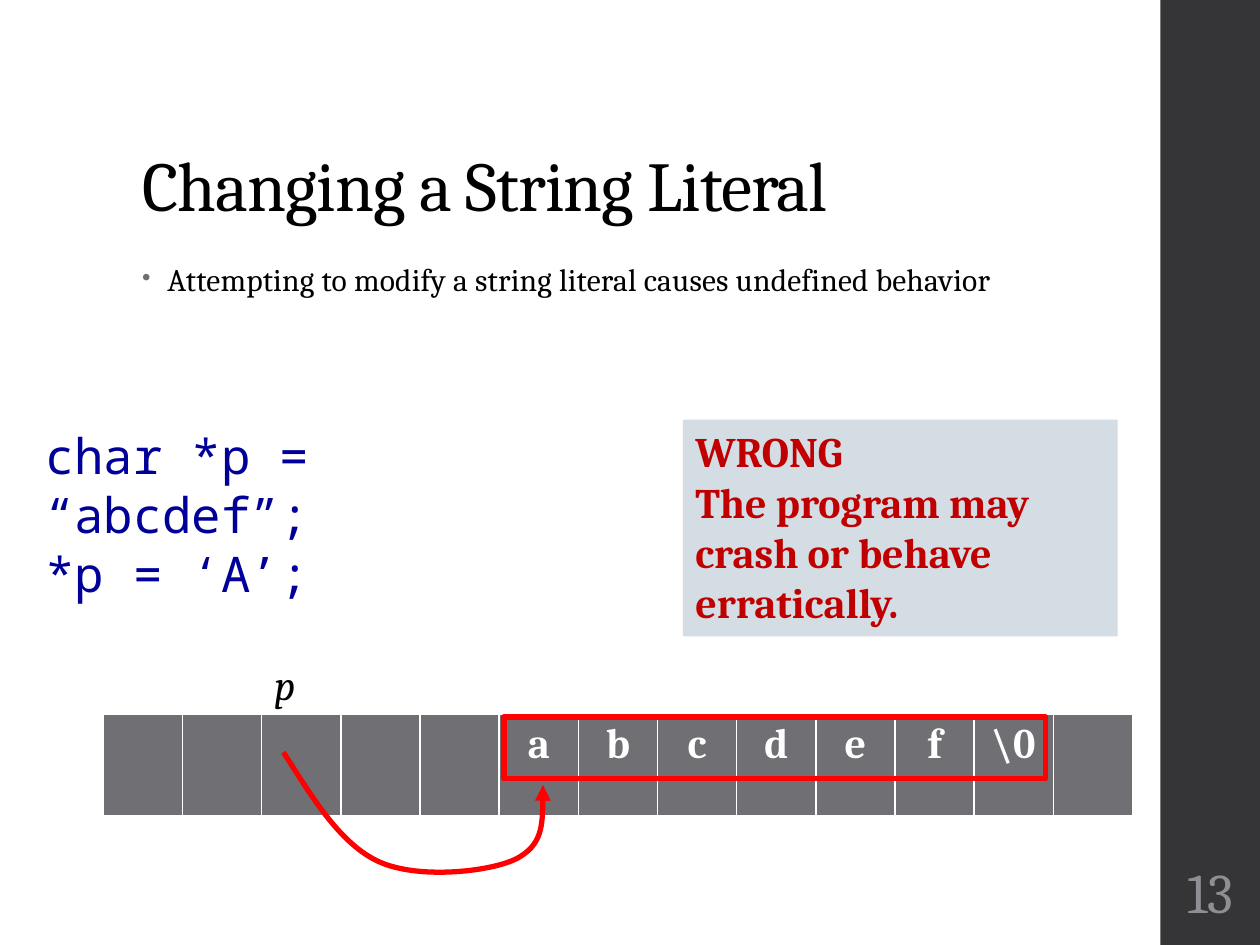
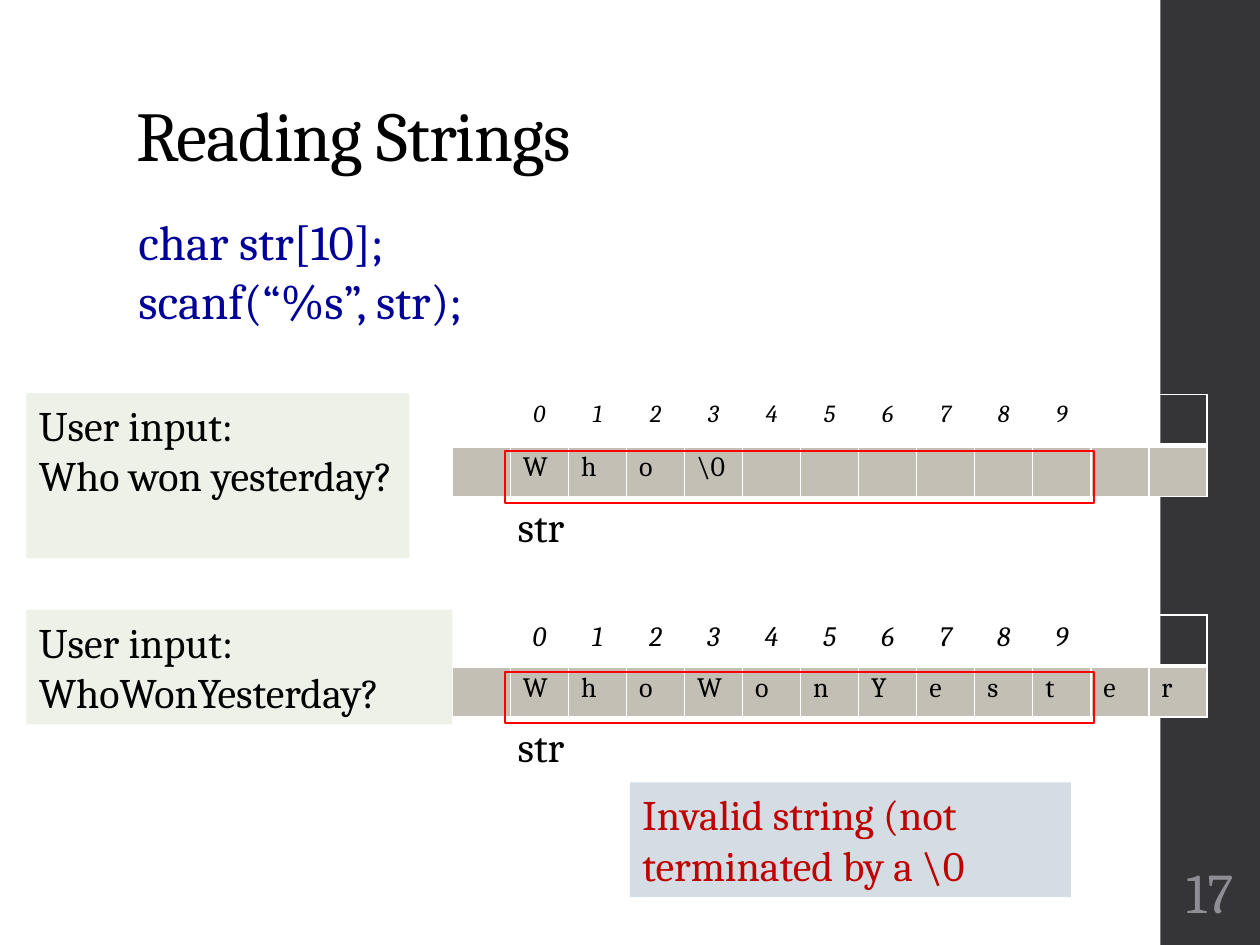
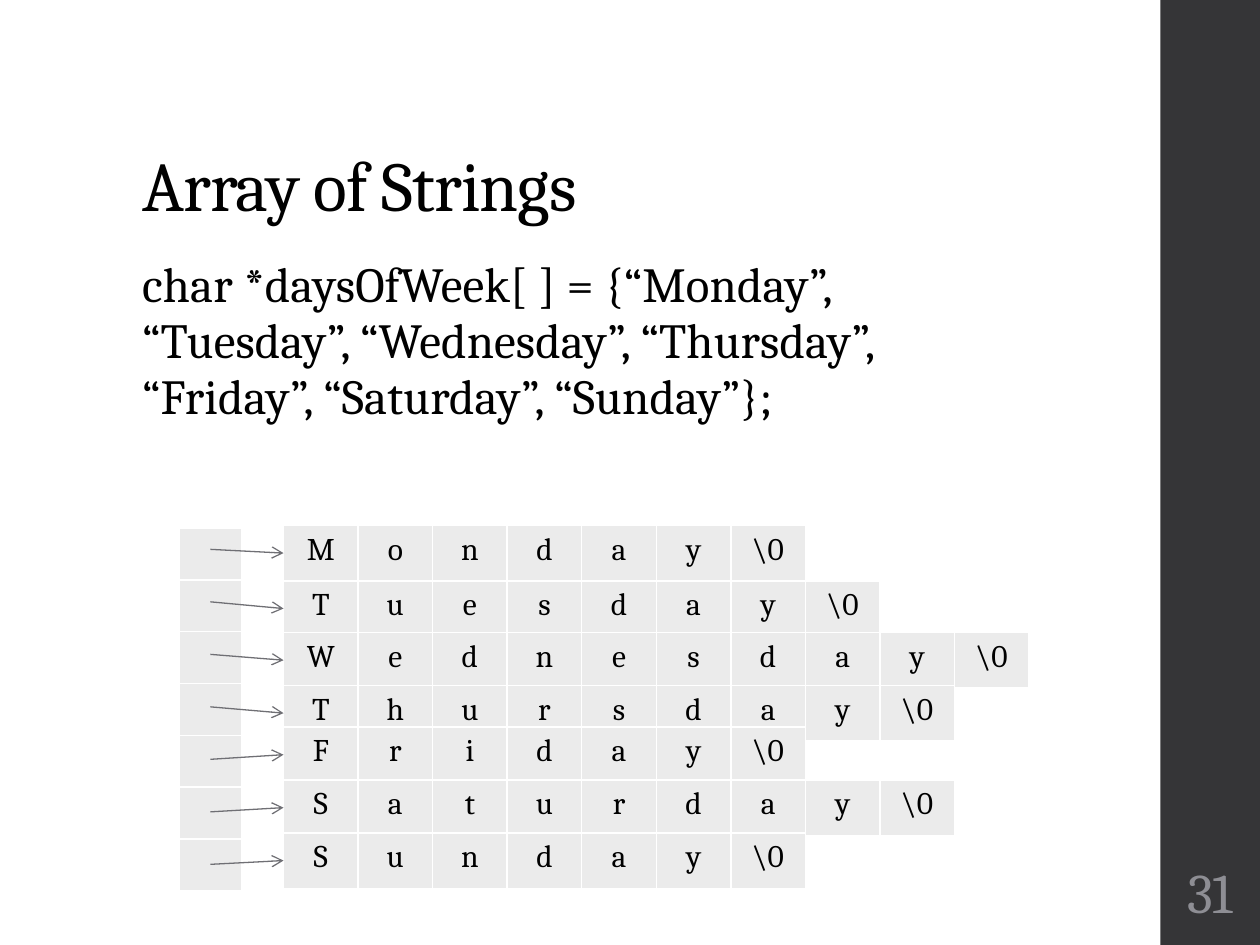
from lxml import etree
from pptx import Presentation
from pptx import util as u
from pptx.dml.color import RGBColor
from pptx.enum import shapes, text
from pptx.oxml import ns

# Slide size and a grid of 100 columns by 75 rows
W, H = u.Inches(10), u.Inches(7.5)
COL, ROW = W / 100, H / 75

FONT, MONO = "Cambria", "Noto Sans Mono"
BLACK, WHITE, RED = "000000", "FFFFFF", "FF0000"
BAND, NUMBER, GREY = "353537", "8E8E94", "6F6F74"
CODE, WARNING = "000099", "C00000"
NOTE_FILL, INPUT_FILL = "D3DDE3", "EDF1E7"
MEMORY_FILL, DAY_FILL = "C3BFB5", "EBEBEB"
LEFT, CENTER = text.PP_ALIGN.LEFT, text.PP_ALIGN.CENTER
NUL = "\\0"


def rgb(value):
    return RGBColor.from_string(value)


def place(x, y, w, h):
    return [u.Emu(round(v)) for v in (x * COL, y * ROW, w * COL, h * ROW)]


def child(parent, tag, **attrs):
    return etree.SubElement(parent, ns.qn(tag), attrs)


# Text
def style(p, size, color=BLACK, font=FONT, bold=False, italic=False,
          align=LEFT, spacing=None, tracking=0):
    p.alignment = align
    if spacing:
        p.line_spacing = spacing
    f = p.font
    f.name, f.size, f.bold, f.italic = font, u.Pt(size), bold, italic
    f.color.rgb = rgb(color)
    if tracking:
        p._p.pPr.find(ns.qn("a:defRPr")).set("spc", str(tracking))


def add_text(s, at, lines, size, fill=None, anchor=text.MSO_ANCHOR.TOP, **look):
    sp = s.shapes.add_textbox(*place(*at))
    if fill:
        sp.fill.solid()
        sp.fill.fore_color.rgb = rgb(fill)
    tf = sp.text_frame
    tf.word_wrap, tf.vertical_anchor = True, anchor
    tf.text = "\n".join(lines)
    for p in tf.paragraphs:
        style(p, size, **look)
    return tf


def add_bullet(p):
    pPr = p._p.get_or_add_pPr()
    indent = u.Inches(0.2)
    pPr.set("marL", str(indent))
    pPr.set("indent", str(-indent))
    child(child(pPr, "a:buClr"), "a:srgbClr", val=GREY)
    child(pPr, "a:buSzPct", val="80000")
    child(pPr, "a:buChar", char="•")


# Outlines and arrows
def set_line(line, color, width, head=None):
    line.color.rgb = rgb(color)
    line.width = u.Pt(width)
    if head:
        child(line._get_or_add_ln(), "a:tailEnd", type=head)


def add_frame(s, at, width):
    sp = s.shapes.add_shape(shapes.MSO_SHAPE.RECTANGLE, *place(*at))
    sp.shadow.inherit = False
    sp.fill.background()
    set_line(sp.line, RED, width)


def add_arrow(s, x1, y1, x2, y2):
    c = s.shapes.add_connector(shapes.MSO_CONNECTOR.STRAIGHT,
                               *place(x1, y1, x2, y2))
    set_line(c.line, GREY, 0.75, "arrow")
    child(c._element.spPr, "a:effectLst")


def add_curve(s, points):
    """Draw Bezier curves: a start, then three points for each curve."""
    points = [(round(x * COL), round(y * ROW)) for x, y in points]
    builder = s.shapes.build_freeform(*points[0])
    builder.add_line_segments(points[1:], close=False)
    sp = builder.convert_to_shape()
    outline = sp._element.spPr.find(".//" + ns.qn("a:path"))
    segments = outline.findall(ns.qn("a:lnTo"))
    for i in range(0, len(segments), 3):
        curve = child(outline, "a:cubicBezTo")
        for segment in segments[i:i + 3]:
            curve.append(segment[0])
            outline.remove(segment)
    sp.shadow.inherit = False
    sp.fill.background()
    set_line(sp.line, RED, 3, "triangle")


# Tables
def set_borders(cell, bottom):
    tcPr = cell._tc.get_or_add_tcPr()
    for side, width in (("L", 1), ("R", 1), ("T", 1), ("B", bottom)):
        ln = child(tcPr, "a:ln" + side, w=str(u.Pt(width)))
        child(child(ln, "a:solidFill"), "a:srgbClr", val=WHITE)


def add_cells(s, at, rows):
    """Each row is (values, fill, bottom border, text look)."""
    frame = s.shapes.add_table(len(rows), len(rows[0][0]), *place(*at))
    table = frame.table
    table.first_row = table.horz_banding = False
    for i, (values, fill, bottom, look) in enumerate(rows):
        for j, value in enumerate(values):
            cell = table.cell(i, j)
            set_borders(cell, bottom)
            if fill:
                cell.fill.solid()
                cell.fill.fore_color.rgb = rgb(fill)
            else:
                cell.fill.background()
            cell.text = value
            style(cell.text_frame.paragraphs[0], **look)


# Shared slide frame: side band, title and number
def add_slide(prs, title, number, x=10.3, y=4):
    s = prs.slides.add_slide(prs.slide_layouts[5])
    band = s.shapes.add_shape(shapes.MSO_SHAPE.RECTANGLE, *place(92.1, 0, 7.9, 75))
    band.shadow.inherit = False
    band.fill.solid()
    band.fill.fore_color.rgb = rgb(BAND)
    band.line.fill.background()

    sp = s.shapes.title
    sp.left, sp.top, sp.width, sp.height = place(x, y, 79.5, 14.5)
    tf = sp.text_frame
    tf.text = title
    tf.vertical_anchor = text.MSO_ANCHOR.BOTTOM
    tf.auto_size = text.MSO_AUTO_SIZE.NONE
    style(tf.paragraphs[0], 40, spacing=0.9, tracking=-50)

    tf = add_text(s, (92.3, 67.5, 7.5, 6.5), [number], 32, color=NUMBER,
                  align=CENTER, anchor=text.MSO_ANCHOR.MIDDLE)
    tf.margin_left = tf.margin_right = u.Inches(0.03)
    return s


def literal_slide(prs):
    s = add_slide(prs, "Changing a String Literal", "13")
    tf = add_text(s, (10.3, 20.4, 70.5, 5), [""], 18)
    p = tf.paragraphs[0]
    p.clear()
    p._p.remove(p._p.pPr)
    add_bullet(p)
    p.add_run().text = "Attempting to modify a string literal causes undefined behavior"
    style(p, 18, spacing=0.95, tracking=10)
    add_text(s, (2.6, 33.3, 45.8, 10.4), ["char *p = “abcdef”;", "*p = ‘A’;"],
             28, color=CODE, font=MONO)
    add_text(s, (54.2, 33.3, 34.5, 17.2),
             ["WRONG", "The program may crash or behave erratically."],
             24, fill=NOTE_FILL, color=WARNING, bold=True)

    # Memory with the literal, and the pointer to it
    values = [""] * 5 + list("abcdef") + [NUL, ""]
    look = dict(size=24, color=WHITE, bold=True, align=CENTER)
    add_cells(s, (8.2, 56.7, 81.7, 8.2), [(values, GREY, 3, look)])
    add_frame(s, (40, 56.9, 43, 4.9), 3)
    add_text(s, (20.8, 51.8, 5.8, 5), ["p"], 24, italic=True)
    add_curve(s, [(22.5, 59.7),
                  (24.8, 63.3), (27, 67), (30.1, 68.4),
                  (33.2, 69.8), (38.8, 69.2), (40.9, 68.2),
                  (43.1, 67.1), (43.1, 64.7), (43.1, 62.3)])


def reading_slide(prs):
    s = add_slide(prs, "Reading Strings", "17", x=9.8, y=0)
    add_text(s, (10, 16.3, 33.3, 10.4), ["char str[10];", "scanf(“%s”, str);"],
             28, color=CODE)

    # Each input: stored characters, table top, index size, and its box
    inputs = [
        ("Who won yesterday?", ["W", "h", "o", NUL], 31.3, 14, (2.1, 31.2, 30.4, 13.1)),
        ("WhoWonYesterday?", list("WhoWonYester"), 48.8, 16, (2.1, 48.4, 33.8, 9.1)),
    ]
    indexes = ["", *map(str, range(10)), "", ""]
    for typed, stored, top, index_size, box in inputs:
        memory = ["", *stored] + [""] * (12 - len(stored))
        add_cells(s, (35.9, top, 59.9, 8.1), [
            (indexes, None, 3, dict(size=index_size, italic=True, align=CENTER)),
            (memory, MEMORY_FILL, 1, dict(size=16)),
        ])
        add_text(s, box, ["User input:", typed], 24, fill=INPUT_FILL)
        add_text(s, (40.1, top + 7.9, 7.5, 5), ["str"], 24)
        add_frame(s, (40.1, top + 4.5, 46.7, 4.1), 1.1)

    add_text(s, (50, 62.1, 35, 9.1), ["Invalid string (not terminated by a \\0"],
             24, fill=NOTE_FILL, color=WARNING)


def array_slide(prs):
    s = add_slide(prs, "Array of Strings", "31")
    add_text(s, (10.3, 20, 70.5, 15),
             ["char *daysOfWeek[ ] = {“Monday”, “Tuesday”, “Wednesday”, "
              "“Thursday”, “Friday”, “Saturday”, “Sunday”};"],
             28, spacing=0.95, tracking=10)

    # Pointers, then one row of characters for each day
    days = {"Monday": 41.7, "Tuesday": 46.1, "Wednesday": 50.2, "Thursday": 54.4,
            "Friday": 57.7, "Saturday": 61.9, "Sunday": 66.1}
    look = dict(size=18, align=CENTER)
    add_cells(s, (14.2, 41.9, 5, 28.8), [([""], DAY_FILL, 1, look)] * len(days))
    for day, top in days.items():
        letters = [*day, NUL]
        add_cells(s, (22.5, top, 5.92 * len(letters), 4.4),
                  [(letters, DAY_FILL, 1, look)])
    for i, top in enumerate(days.values()):
        add_arrow(s, 16.7, 43.6 + i * 25 / 6, 22.5, top + 2.2)


def main():
    prs = Presentation()
    prs.slide_width, prs.slide_height = W, H
    literal_slide(prs)
    reading_slide(prs)
    array_slide(prs)
    prs.save("out.pptx")


if __name__ == "__main__":
    main()
